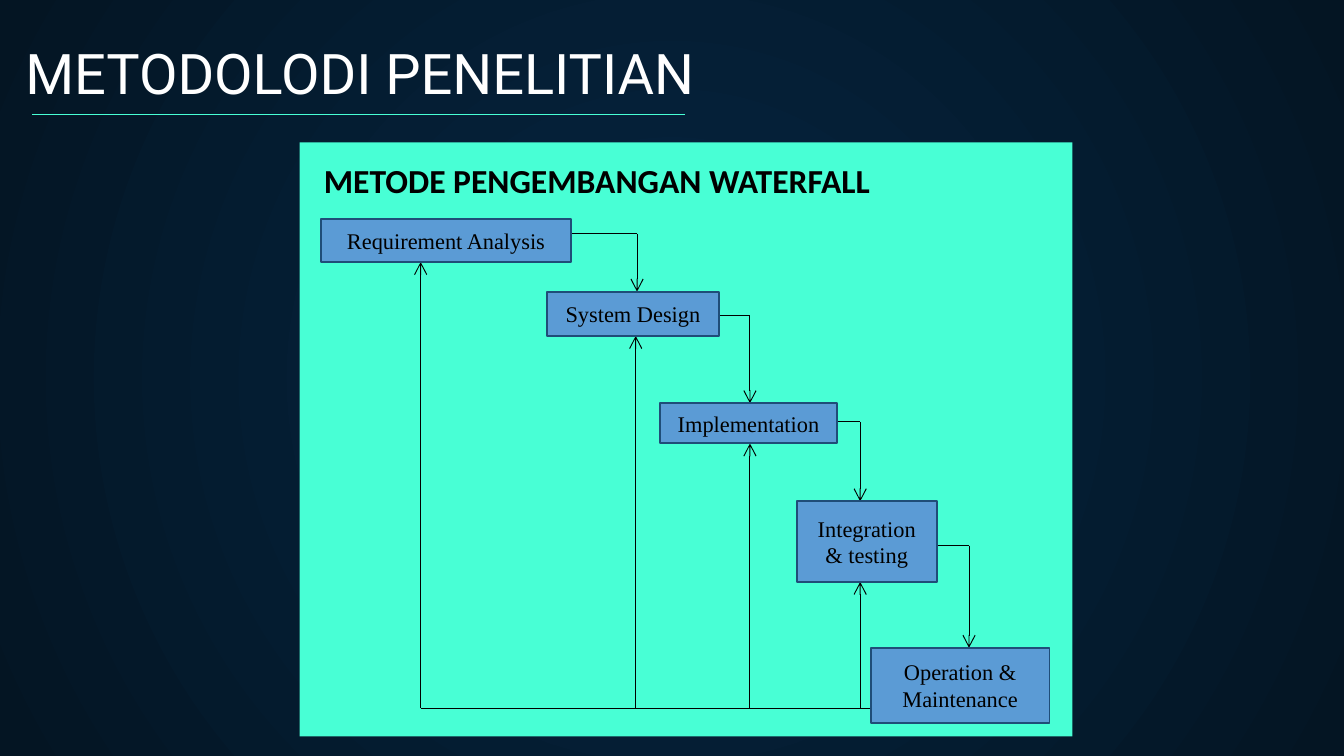
"""Build the waterfall method slide."""
from lxml import etree
from pptx import Presentation
from pptx import util as u
from pptx.dml.color import RGBColor
from pptx.enum import shapes, text
from pptx.oxml import ns

HUES = {"mid": "052643", "edge": "041523", "mint": "48FFD5", "box": "5B9BD5",
        "rim": "1F4D78", "ink": "000000", "white": "FFFFFF"}
STEPS = [
    ("Requirement Analysis", 2.39, 1.63, 1.86, 0.32),
    ("System Design", 4.07, 2.17, 1.28, 0.33),
    ("Implementation", 4.91, 3, 1.32, 0.3),
    ("Integration & testing", 5.93, 3.73, 1.04, 0.6),
    ("Operation & Maintenance", 6.48, 4.82, 1.33, 0.56),
]
EXITS = [1.74, 2.35, 3.14, 4.06]
DROPS = [4.74, 5.58, 6.4, 7.21]
RISES = [3.13, 4.73, 5.58, 6.4]
BASE = 5.27


def hue(name):
    return RGBColor.from_string(HUES[name])


def add_sub(node, tag, **attrs):
    return etree.SubElement(node, ns.qn(tag), attrs)


def paint_back(slide):
    fill = slide.background.fill
    fill.gradient()
    for stop, name in zip(fill.gradient_stops, ("mid", "edge")):
        stop.color.rgb = hue(name)
    grad = slide.element.xpath(".//p:bg//a:gradFill")[0]
    for lin in grad.findall(ns.qn("a:lin")):
        grad.remove(lin)
    ring = add_sub(grad, "a:path", path="circle")
    add_sub(ring, "a:fillToRect", **dict.fromkeys("ltrb", "50000"))


def add_line(slide, start, end, name="ink", width=0.5, arrow=False):
    ends = [u.Inches(n) for n in (*start, *end)]
    line = slide.shapes.add_connector(shapes.MSO_CONNECTOR.STRAIGHT, *ends)
    line.line.color.rgb = hue(name)
    line.line.width = u.Pt(width)
    props = line.element.spPr
    if arrow:
        add_sub(props.find(ns.qn("a:ln")), "a:tailEnd", type="arrow")
    add_sub(props, "a:effectLst")


def add_rect(slide, spot, name):
    rect = slide.shapes.add_shape(
        shapes.MSO_SHAPE.RECTANGLE, *[u.Inches(n) for n in spot])
    rect.shadow.inherit = False
    rect.fill.solid()
    rect.fill.fore_color.rgb = hue(name)
    rect.line.fill.background()
    return rect


def set_text(shape, words, font, size, name, align, anchor, bold=False):
    frame = shape.text_frame
    frame.text = words
    frame.word_wrap = True
    frame.auto_size = text.MSO_AUTO_SIZE.NONE
    frame.vertical_anchor = anchor
    para = frame.paragraphs[0]
    para.alignment = align
    para.font.name = font
    para.font.size = u.Pt(size)
    para.font.bold = bold
    para.font.color.rgb = hue(name)


def set_head(shape, words, spot, font, size, name, bold=False):
    shape.left, shape.top, shape.width, shape.height = map(u.Inches, spot)
    set_text(shape, words, font, size, name, text.PP_ALIGN.LEFT,
             text.MSO_ANCHOR.BOTTOM, bold)
    frame = shape.text_frame
    frame.margin_left = frame.margin_right = u.Inches(0.1)
    frame.margin_top = frame.margin_bottom = u.Inches(0.1)


def add_step(slide, words, *spot):
    box = add_rect(slide, spot, "box")
    box.line.color.rgb = hue("rim")
    box.line.width = u.Pt(1)
    set_text(box, words, "Times New Roman", 12, "ink",
             text.PP_ALIGN.CENTER, text.MSO_ANCHOR.MIDDLE)


def add_flow(slide):
    for step, after, y, x in zip(STEPS, STEPS[1:], EXITS, DROPS):
        add_line(slide, (step[1] + step[3], y), (x, y))
        add_line(slide, (x, y), (x, after[2]), arrow=True)
    add_line(slide, (RISES[0], BASE), (STEPS[-1][1], BASE))
    for step, x in zip(STEPS, RISES):
        add_line(slide, (x, BASE), (x, step[2] + step[4]), arrow=True)


def main():
    deck = Presentation()
    deck.slide_width = u.Inches(10)
    deck.slide_height = deck.slide_width * 9 // 16
    slide = deck.slides.add_slide(deck.slide_layouts[0])
    tree = slide.shapes.element
    tree.remove(slide.placeholders[1].element)
    paint_back(slide)
    add_line(slide, (0.24, 0.85), (5.1, 0.85), "mint", 0.75)
    add_rect(slide, (2.23, 1.06, 5.75, 4.42), "mint")
    add_flow(slide)
    for step in STEPS:
        add_step(slide, *step)
    set_head(slide.shapes.add_textbox(0, 0, 0, 0), "METODOLODI PENELITIAN",
             (0.09, 0.23, 5.5, 0.66), "Roboto", 30, "white")
    title = slide.shapes.title
    set_head(title, "METODE PENGEMBANGAN WATERFALL",
             (2.31, 1.21, 4.32, 0.38), "Calibri", 18, "ink", True)
    tree.append(title.element)
    deck.save("out.pptx")


if __name__ == "__main__":
    main()
